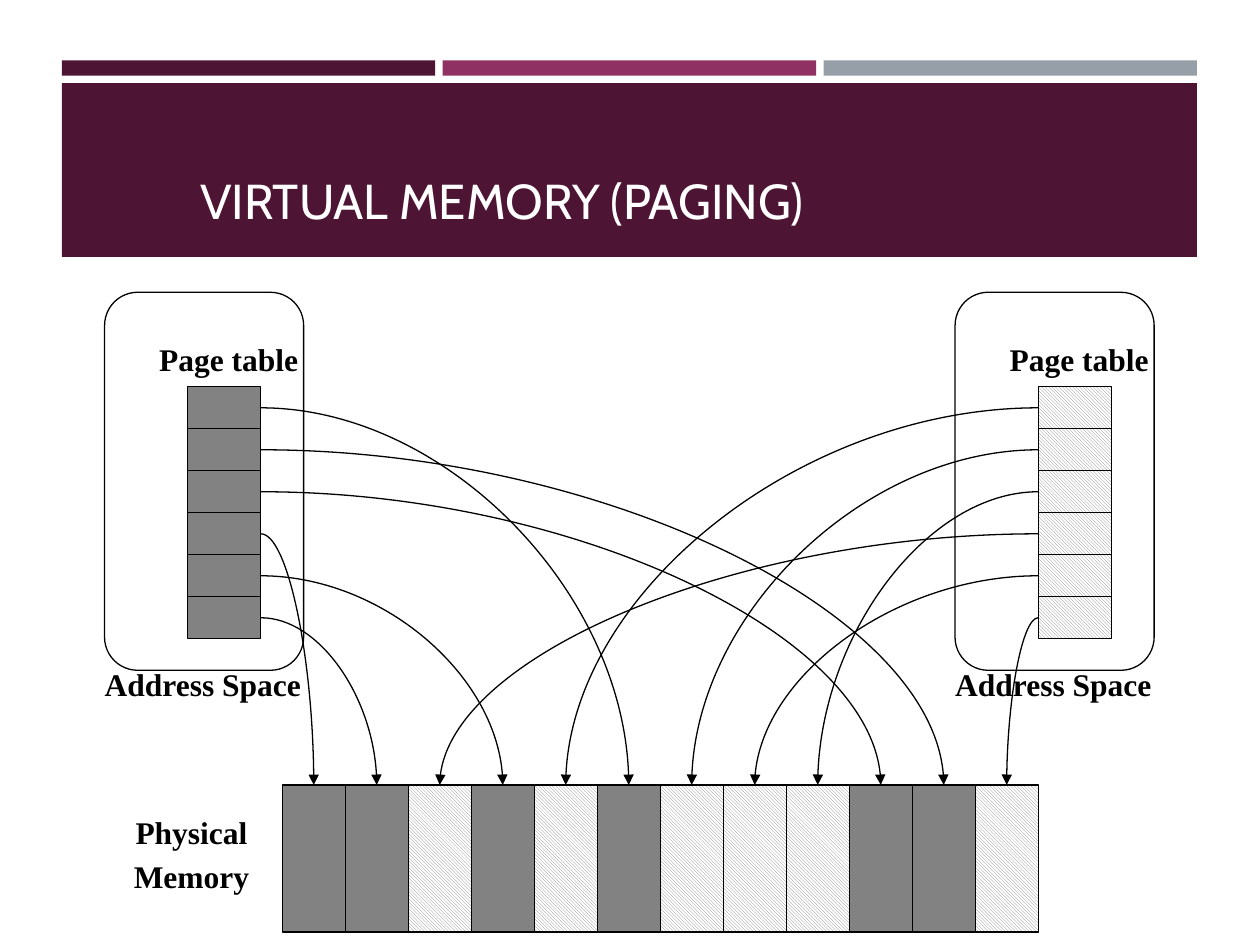
from lxml import etree
from pptx import Presentation
from pptx.dml.color import RGBColor
from pptx.enum.dml import MSO_PATTERN
from pptx.enum.shapes import MSO_CONNECTOR, MSO_SHAPE as Shape
from pptx.enum.text import MSO_ANCHOR, MSO_AUTO_SIZE, PP_ALIGN
from pptx.oxml.ns import qn
from pptx.util import Inches, Pt

COLORS = {"plum": "4D1434", "berry": "903163", "steel": "969FA7",
          "gray": "828282", "white": "FFFFFF", "black": "000000"}
COL, ROW = 0.5, 1 / 3          # memory frame width, page table row height
TABLE_ROWS = 6
CELL_WIDTH = 0.58
SPACE_SIZE = (1.58, 9 * ROW)
MEMORY = (2.24, 6.23, 12 * COL, 3.5 * ROW)

# Frame number in physical memory for each page table row, top to bottom
LEFT_PAGES = [5, 10, 9, 0, 3, 1]
RIGHT_PAGES = [4, 6, 8, 2, 7, 11]


def color(name):
    return RGBColor.from_string(COLORS[name])


def add_block(page, box, fill=None, outlined=True, kind=Shape.RECTANGLE):
    block = page.shapes.add_shape(kind, *map(Inches, box))
    block.shadow.inherit = False
    if fill == "hatch":
        block.fill.patterned()
        block.fill.pattern = MSO_PATTERN.LIGHT_DOWNWARD_DIAGONAL
        block.fill.fore_color.rgb = color("gray")
        block.fill.back_color.rgb = color("white")
    elif fill:
        block.fill.solid()
        block.fill.fore_color.rgb = color(fill)
    else:
        block.fill.background()
    if outlined:
        block.line.color.rgb = color("black")
        block.line.width = Pt(0.75)
    else:
        block.line.fill.background()
    return block


def add_label(page, box, text):
    label = page.shapes.add_textbox(*map(Inches, box))
    frame = label.text_frame
    frame.text = text
    frame.word_wrap = False
    frame.auto_size = MSO_AUTO_SIZE.SHAPE_TO_FIT_TEXT
    for index, para in enumerate(frame.paragraphs):
        para.alignment = PP_ALIGN.CENTER
        if index:
            para.space_before = Pt(4)
        for span in para.runs:
            span.font.name = "Times New Roman"
            span.font.size = Pt(18)
            span.font.bold = True
            span.font.color.rgb = color("black")


def add_curve(page, start, end):
    """Quarter curve that leaves sideways and arrives downwards."""
    curve = page.shapes.add_connector(
        MSO_CONNECTOR.CURVE, *map(Inches, start + end))
    curve.line.color.rgb = color("black")
    curve.line.width = Pt(0.75)
    props = curve._element.spPr
    props.find(qn("a:prstGeom")).set("prst", "curvedConnector2")
    etree.SubElement(props.find(qn("a:ln")), qn("a:tailEnd"), type="triangle")
    etree.SubElement(props, qn("a:effectLst"))


def add_header(page, box):
    left, top, width, height = box
    # Three strips above the band
    gap = 0.06
    strip = (width - 2 * gap) / 3
    for index, fill in enumerate(("plum", "berry", "steel")):
        add_block(page, (left + index * (strip + gap), top, strip, 0.12),
                  fill, outlined=False)
    # Title band
    add_block(page, (left, top + 0.18, width, height - 0.18), "plum",
              outlined=False)
    title = page.shapes.add_textbox(
        *map(Inches, (left + 1, top + 0.56, 8.5, 0.83)))
    frame = title.text_frame
    frame.text = "VIRTUAL MEMORY (PAGING)"
    frame.word_wrap = True
    frame.vertical_anchor = MSO_ANCHOR.BOTTOM
    font = frame.paragraphs[0].runs[0].font
    font.name = "Cabin"
    font.size = Pt(28)
    font.color.rgb = color("white")


def add_address_space(page, box, fill, frames, exit_side):
    left, top, width, height = box
    table_left, table_top = left + 0.66, top + 0.75
    # Page table
    for row in range(TABLE_ROWS):
        add_block(page, (table_left, table_top + row * ROW, CELL_WIDTH, ROW),
                  fill)
    add_label(page, (left + 0.33, top + 0.33, 1.31, 0.4), "Page table")
    add_label(page, (left - 0.1, top + 2.91, 1.76, 0.4), "Address Space")
    # Mappings into physical memory
    start_x = table_left + exit_side * CELL_WIDTH
    for row, number in enumerate(frames):
        add_curve(page, (start_x, table_top + (row + 0.5) * ROW),
                  (MEMORY[0] + (number + 0.5) * COL, MEMORY[1]))
    # Outline of the address space
    add_block(page, box, kind=Shape.ROUNDED_RECTANGLE)


def add_memory(page, box):
    left, top, width, height = box
    for number in range(round(width / COL)):
        fill = "gray" if number in LEFT_PAGES else "hatch"
        add_block(page, (left + number * COL, top, COL, height), fill)
    add_label(page, (left - 1.28, top + 0.17, 1.12, 0.76), "Physical\nMemory")


def main():
    deck = Presentation()
    deck.slide_width, deck.slide_height = Inches(10), Inches(7.5)
    page = deck.slides.add_slide(deck.slide_layouts[6])
    add_header(page, (0.49, 0.48, 9.01, 1.56))
    add_memory(page, MEMORY)
    add_address_space(page, (0.83, 2.32, *SPACE_SIZE), "gray", LEFT_PAGES, 1)
    add_address_space(page, (7.58, 2.32, *SPACE_SIZE), "hatch", RIGHT_PAGES, 0)
    deck.save("out.pptx")


if __name__ == "__main__":
    main()
